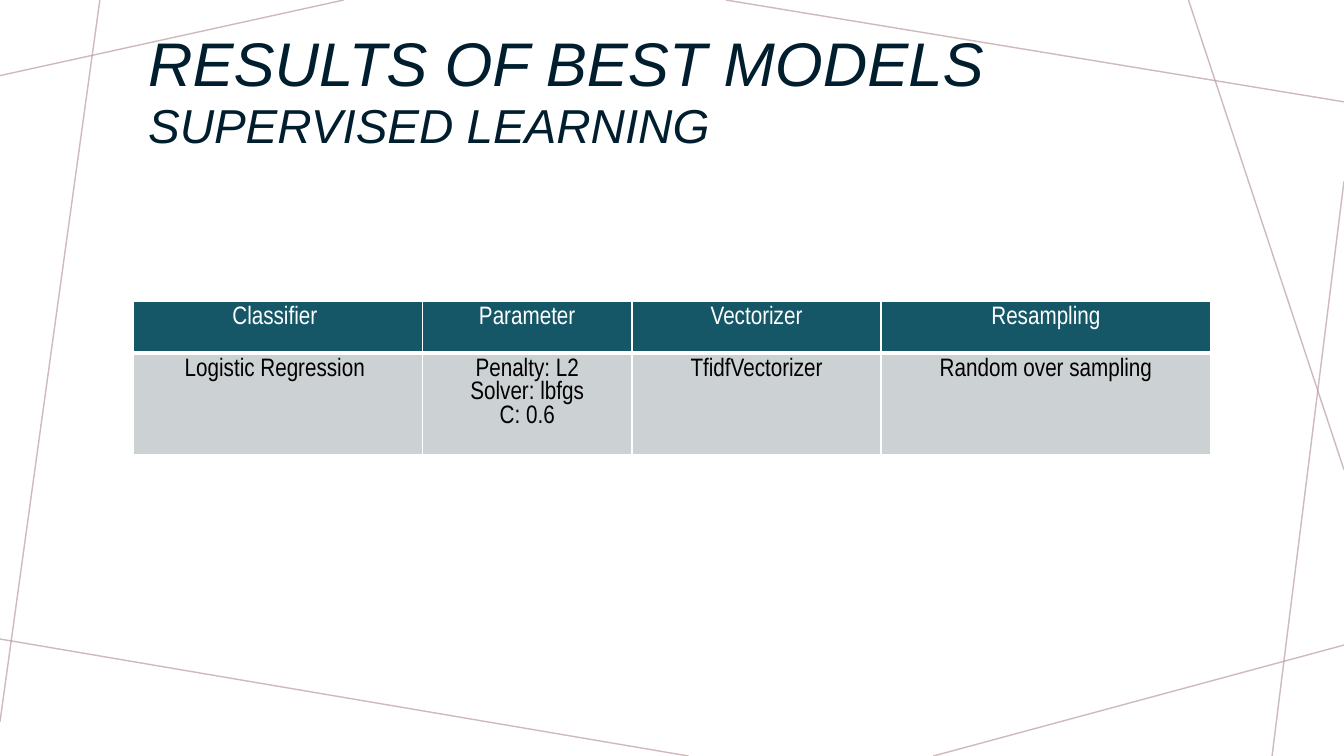
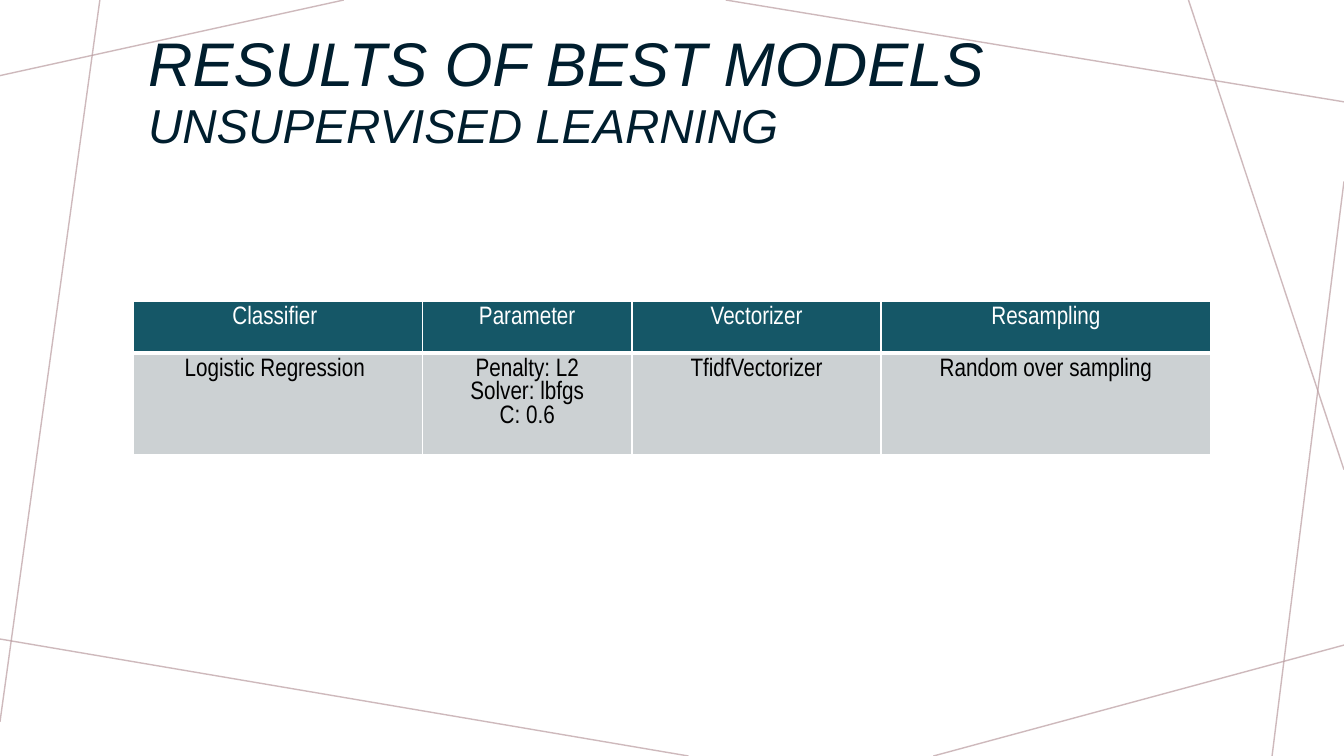
from lxml import etree
from pptx import Presentation
from pptx.dml.color import RGBColor
from pptx.enum.shapes import MSO_CONNECTOR
from pptx.enum.text import MSO_ANCHOR, PP_ALIGN
from pptx.oxml.ns import qn
from pptx.util import Emu, Inches, Pt

STRAIGHT = MSO_CONNECTOR.STRAIGHT
MIDDLE = MSO_ANCHOR.MIDDLE
LEFT, CENTER = PP_ALIGN.LEFT, PP_ALIGN.CENTER

WIDE, HIGH = Inches(40 / 3), Inches(7.5)
HUES = {
    "ink": "001E2E",
    "head": "155767",
    "body": "CCD1D3",
    "rule": "BA9CA0",
    "white": "FFFFFF",
    "black": "000000",
}

# All lengths are percentages of the slide's width or height
RULES = [
    ((25.58, 0), (0, 10)),
    ((7.43, 0), (0, 95.47)),
    ((51.23, 100), (0, 84.53)),
    ((100, 85.33), (69.45, 100)),
    ((100, 24), (94.65, 100)),
    ((100, 62.13), (88.43, 0)),
    ((100, 13.47), (54, 0)),
]
TITLE_LEFT, TITLE_WIDE, TITLE_HIGH = 9.38, 81.23, 14.4
TABLE_LEFT, TABLE_TOP = 9.9, 39.87
COLS = [21.53, 15.6, 18.53, 24.53]
ROWS = [6.8, 13.47]

TITLE = "RESULTS OF BEST MODELS"
TOPICS = ["SUPERVISED LEARNING", "UNSUPERVISED LEARNING"]
HEADS = ["Classifier ", "Parameter", "Vectorizer", "Resampling"]
MODEL = [
    "Logistic Regression ",
    "Penalty: L2\nSolver: lbfgs\nC: 0.6",
    "TfidfVectorizer",
    "Random over sampling",
]


def across(share):
    return Emu(round(WIDE * share / 100))


def down(share):
    return Emu(round(HIGH * share / 100))


def color(name):
    return RGBColor.from_string(HUES[name])


def write(para, text, font, size, hue, align, slant=False):
    para.alignment = align
    run = para.add_run()
    run.text = text
    run.font.name = font
    run.font.size = Pt(size)
    run.font.bold = False
    run.font.italic = slant
    run.font.color.rgb = color(hue)


# Backdrop of thin crossing lines
def add_rules(slide):
    for (x1, y1), (x2, y2) in RULES:
        rule = slide.shapes.add_connector(
            STRAIGHT, across(x1), down(y1), across(x2), down(y2))
        rule.line.width = Pt(1)
        rule.line.color.rgb = color("rule")
        tint = next(rule.line._ln.iter(qn("a:srgbClr")))
        etree.SubElement(tint, qn("a:alpha"), val="70000")
        etree.SubElement(rule._element.spPr, qn("a:effectLst"))


# One line of the heading
def add_title(slide, top, text, size):
    box = slide.shapes.add_textbox(
        across(TITLE_LEFT), down(top), across(TITLE_WIDE), down(TITLE_HIGH))
    frame = box.text_frame
    frame.word_wrap = True
    frame.vertical_anchor = MIDDLE
    para = frame.paragraphs[0]
    para.line_spacing = 0.9
    para._p.get_or_add_pPr().set("marL", str(Inches(0.12)))
    write(para, text, "Arial", size, "ink", LEFT, slant=True)


def add_edge(cell, side, width):
    edge = etree.SubElement(
        cell._tc.get_or_add_tcPr(), qn("a:ln" + side), w=str(Pt(width)))
    fill = etree.SubElement(edge, qn("a:solidFill"))
    etree.SubElement(fill, qn("a:srgbClr"), val=HUES["white"])


def fill_cell(cell, text, fill, hue, edges):
    for side, width in edges.items():
        add_edge(cell, side, width)
    cell.fill.solid()
    cell.fill.fore_color.rgb = color(fill)
    frame = cell.text_frame
    for n, line in enumerate(text.split("\n")):
        para = frame.add_paragraph() if n else frame.paragraphs[0]
        write(para, line, "Arial Narrow", 18, hue, CENTER)


# Table of model settings
def add_grid(slide):
    grid = slide.shapes.add_table(
        len(ROWS), len(COLS), across(TABLE_LEFT), down(TABLE_TOP),
        across(sum(COLS)), down(sum(ROWS))).table
    grid.horz_banding = False
    for col, share in zip(grid.columns, COLS):
        col.width = across(share)
    for row, share in zip(grid.rows, ROWS):
        row.height = down(share)
    looks = [
        (HEADS, "head", "white", {"L": 1, "R": 1, "T": 1, "B": 3}),
        (MODEL, "body", "black", {"L": 1, "R": 1, "T": 3, "B": 1}),
    ]
    for row, (texts, fill, hue, edges) in zip(grid.rows, looks):
        for cell, text in zip(row.cells, texts):
            fill_cell(cell, text, fill, hue, edges)


def main():
    deck = Presentation()
    deck.slide_width, deck.slide_height = WIDE, HIGH
    blank = deck.slide_layouts[6]
    for topic in TOPICS:
        slide = deck.slides.add_slide(blank)
        add_rules(slide)
        add_grid(slide)
        add_title(slide, 1.6, TITLE, 44)
        add_title(slide, 9.73, topic, 34)
    deck.save("out.pptx")


if __name__ == "__main__":
    main()
